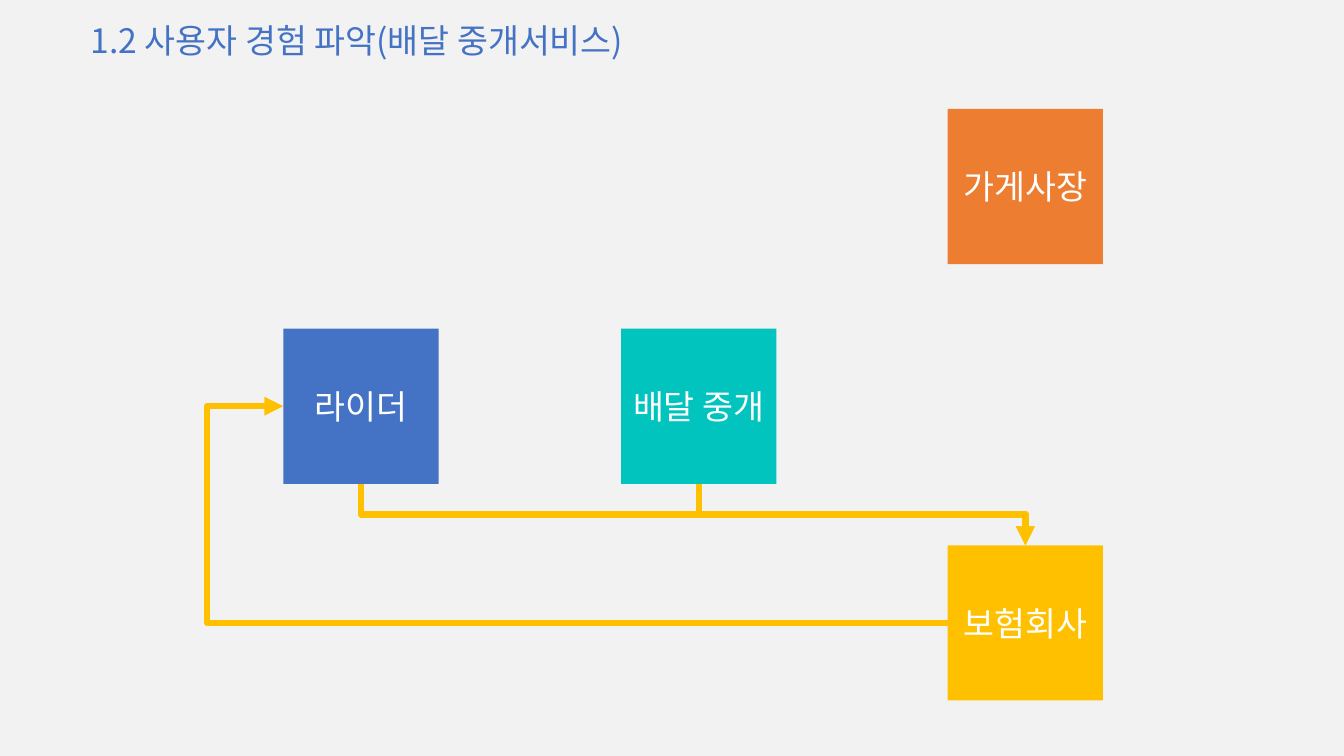
from lxml import etree
from pptx import Presentation
from pptx.dml.color import RGBColor
from pptx.enum.shapes import MSO_CONNECTOR, MSO_SHAPE
from pptx.enum.text import MSO_ANCHOR, MSO_AUTO_SIZE, PP_ALIGN
from pptx.oxml.ns import qn
from pptx.util import Inches, Pt

ELBOW = MSO_CONNECTOR.ELBOW
RECTANGLE = MSO_SHAPE.RECTANGLE
MIDDLE = MSO_ANCHOR.MIDDLE
NO_AUTOFIT = MSO_AUTO_SIZE.NONE
LEFT, CENTER = PP_ALIGN.LEFT, PP_ALIGN.CENTER

BACKGROUND = RGBColor(0xF2, 0xF2, 0xF2)
BLUE = RGBColor(0x44, 0x72, 0xC4)
YELLOW = RGBColor(0xFF, 0xC0, 0x00)
ORANGE = RGBColor(0xED, 0x7D, 0x31)
TEAL = RGBColor(0x01, 0xC4, 0xBE)
WHITE = RGBColor(0xFF, 0xFF, 0xFF)

FONT = "Noto Sans CJK KR"
FONT_FORMAT = {"name": FONT, "size": Pt(24), "bold": False}
BOX_SIZE = 1.54

# Participants: label, left, top, fill
RIDER = ("라이더", 2.81, 3.26, BLUE)
INSURER = ("보험회사", 9.4, 5.41, YELLOW)
SHOP_OWNER = ("가게사장", 9.4, 1.08, ORANGE)
BROKER = ("배달 중개", 6.16, 3.26, TEAL)


def write_text(shape, text, color, alignment):
    frame = shape.text_frame
    frame.word_wrap = True
    frame.auto_size = NO_AUTOFIT
    frame.vertical_anchor = MIDDLE
    paragraph = frame.paragraphs[0]
    paragraph.alignment = alignment
    run = paragraph.add_run()
    run.text = text
    for name, value in FONT_FORMAT.items():
        setattr(run.font, name, value)
    run.font.color.rgb = color
    east_asian = etree.SubElement(run.font._element, qn("a:ea"))
    east_asian.set("typeface", FONT)
    return paragraph


def add_title(slide, text):
    title = slide.shapes.title
    position = {"left": 0.8, "top": 0.12, "width": 11.5, "height": 0.61}
    for name, value in position.items():
        setattr(title, name, Inches(value))
    paragraph = write_text(title, text, BLUE, LEFT)
    paragraph.line_spacing = 0.9


def add_participant(slide, label, left, top, color):
    shape = slide.shapes.add_shape(
        RECTANGLE, Inches(left), Inches(top), Inches(BOX_SIZE), Inches(BOX_SIZE))
    shape.shadow.inherit = False
    shape.fill.solid()
    shape.fill.fore_color.rgb = color
    shape.line.fill.background()
    write_text(shape, label, WHITE, CENTER)


def add_elbow_arrow(slide, begin, end, bend=0.5, rotation=0):
    points = [Inches(value) for value in (*begin, *end)]
    connector = slide.shapes.add_connector(ELBOW, *points)
    connector.line.color.rgb = YELLOW
    connector.line.width = Pt(4.5)
    properties = connector._element.spPr
    properties.find(qn("a:xfrm")).set("rot", str(rotation * 60000))
    # Position of the middle segment
    guides = properties.find(qn("a:prstGeom")).get_or_add_avLst()
    guide = etree.SubElement(guides, qn("a:gd"))
    guide.set("name", "adj1")
    guide.set("fmla", f"val {round(bend * 100000)}")
    # Arrowhead and no shadow
    head = etree.SubElement(properties.find(qn("a:ln")), qn("a:tailEnd"))
    head.set("type", "triangle")
    etree.SubElement(properties, qn("a:effectLst"))


def add_arrow_down(slide, source, target):
    """Leave the bottom of source and enter the top of target."""
    half = BOX_SIZE / 2
    begin_x, begin_y = source[1] + half, source[2] + BOX_SIZE
    end_x, end_y = target[1] + half, target[2]
    center_x, center_y = (begin_x + end_x) / 2, (begin_y + end_y) / 2
    half_run, half_drop = (end_x - begin_x) / 2, (end_y - begin_y) / 2
    # The elbow is laid out sideways, then turned to start vertically
    add_elbow_arrow(
        slide,
        (center_x + half_drop, center_y - half_run),
        (center_x - half_drop, center_y + half_run),
        rotation=270)


def add_arrow_back(slide, source, target):
    """Leave the left of source and loop round to the left of target."""
    half = BOX_SIZE / 2
    add_elbow_arrow(
        slide, (source[1], source[2] + half), (target[1], target[2] + half),
        bend=1.115)


def main():
    presentation = Presentation()
    presentation.slide_width = Inches(13.33)
    presentation.slide_height = Inches(7.5)
    slide = presentation.slides.add_slide(presentation.slide_layouts[5])
    slide.background.fill.solid()
    slide.background.fill.fore_color.rgb = BACKGROUND

    add_title(slide, "1.2 사용자 경험 파악(배달 중개서비스)")

    # Flows to and from the insurer
    add_arrow_down(slide, RIDER, INSURER)
    for participant in (RIDER, INSURER, SHOP_OWNER, BROKER):
        add_participant(slide, *participant)
    add_arrow_back(slide, INSURER, RIDER)
    add_arrow_down(slide, BROKER, INSURER)

    presentation.save("out.pptx")


if __name__ == "__main__":
    main()
